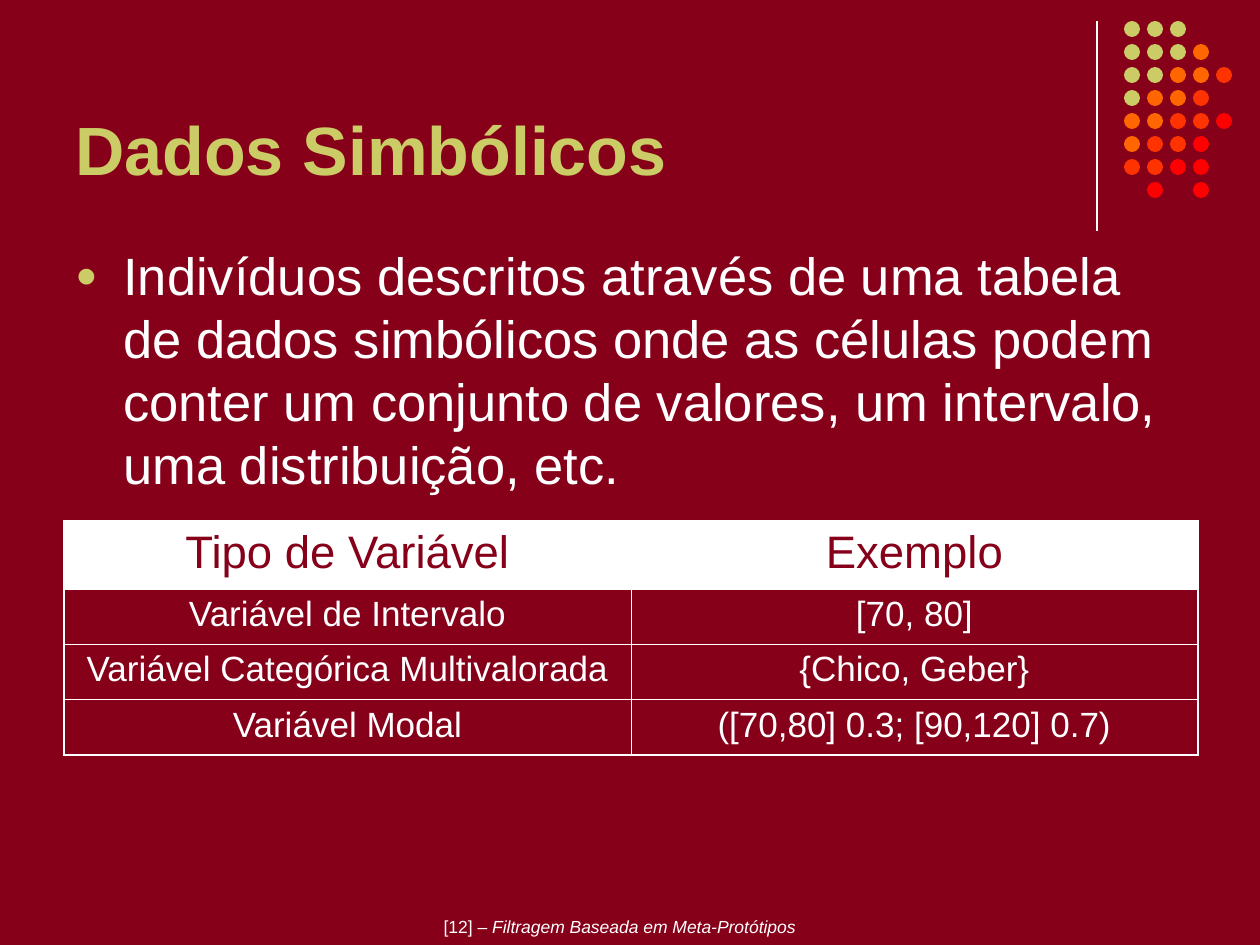
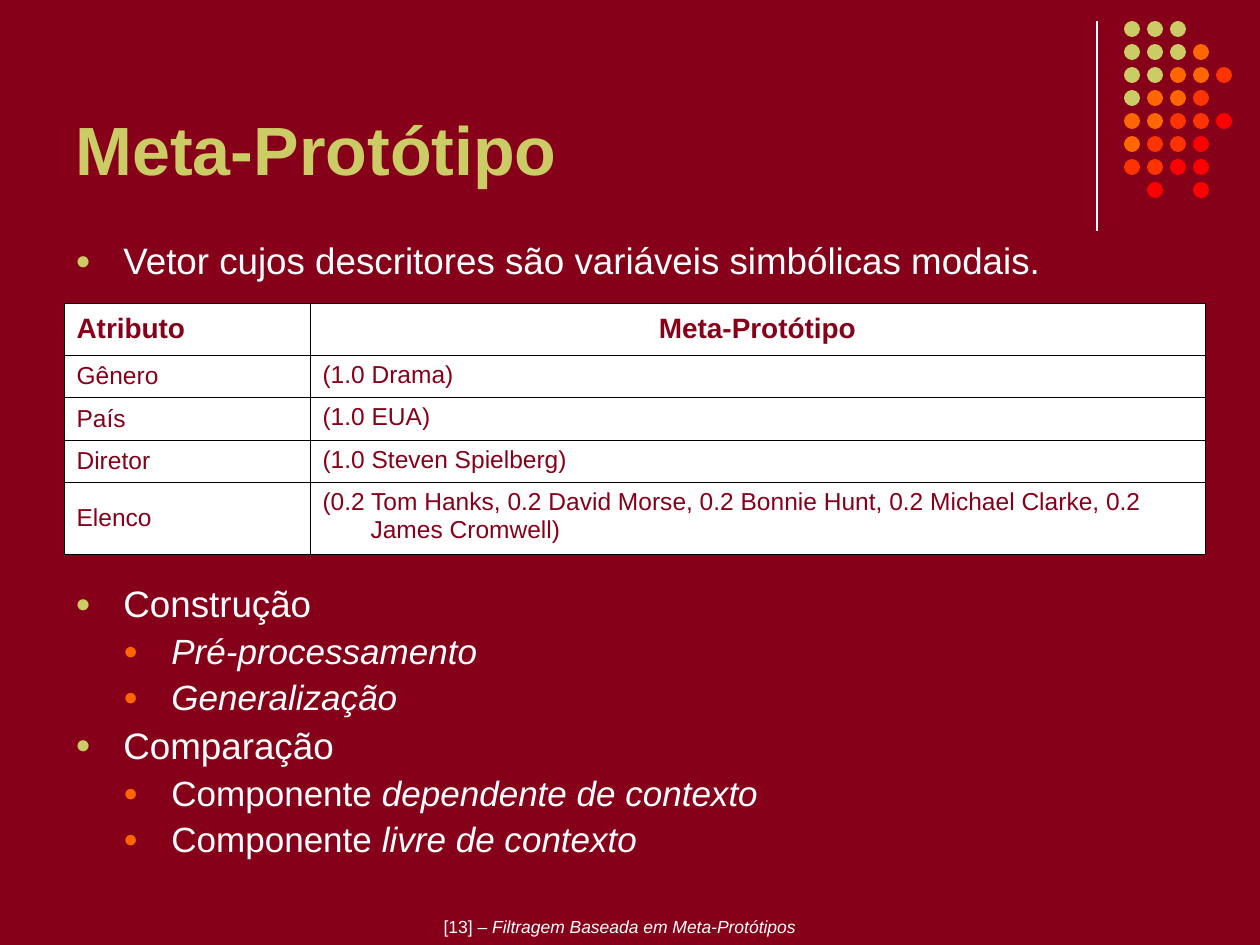
"""Build two slides on symbolic data and meta-prototypes."""
from lxml.etree import SubElement
from pptx import Presentation
from pptx.dml.color import RGBColor
from pptx.enum.shapes import MSO_CONNECTOR, MSO_SHAPE
from pptx.enum.text import MSO_ANCHOR, PP_ALIGN
from pptx.oxml.ns import qn
from pptx.util import Emu, Pt

SCALE = 914400 // 126
FONT = "Arial"
WINE = RGBColor(0x86, 0x00, 0x1A)
WHITE = RGBColor(0xFF, 0xFF, 0xFF)
BLACK = RGBColor(0x00, 0x00, 0x00)
OLIVE = RGBColor(0xCC, 0xCC, 0x66)
AMBER = RGBColor(0xFF, 0x66, 0x00)
CORAL = RGBColor(0xFF, 0x33, 0x00)
RED = RGBColor(0xFF, 0x00, 0x00)

DOTS = ["ooo", "oooa", "ooaac", "oaac", "aaccr", "accr", "ccrr", " r r"]
HUES = {"o": OLIVE, "a": AMBER, "c": CORAL, "r": RED}
TOPIC = "Filtragem Baseada em Meta-Protótipos"
THIN, THICK = 0.45, 1.08

INTRO = [(0, 30, 7.5, "Indivíduos descritos através de uma tabela de dados "
          "simbólicos onde as células podem conter um conjunto de valores, "
          "um intervalo, uma distribuição, etc.", "")]
OUTLINE = [
    (0, 21, 5.2, "Vetor cujos descritores são variáveis simbólicas modais.", ""),
    (0, 21, 173, "Construção", ""),
    (1, 20, 5, "", "Pré-processamento"),
    (1, 20, 5, "", "Generalização"),
    (0, 21, 5.2, "Comparação", ""),
    (1, 20, 5, "Componente ", "dependente de contexto"),
    (1, 20, 5, "Componente ", "livre de contexto"),
]
TYPES = [
    ("Tipo de Variável", "Exemplo"),
    ("Variável de Intervalo", "[70, 80]"),
    ("Variável Categórica Multivalorada", "{Chico, Geber}"),
    ("Variável Modal", "([70,80] 0.3; [90,120] 0.7)"),
]
FILM = [
    ("Atributo", "Meta-Protótipo"),
    ("Gênero", "(1.0 Drama)"),
    ("País", "(1.0 EUA)"),
    ("Diretor", "(1.0 Steven Spielberg)"),
    ("Elenco", "(0.2 Tom Hanks, 0.2 David Morse, 0.2 Bonnie Hunt, "
     "0.2 Michael Clarke, 0.2 James Cromwell)"),
]


def px(*sizes):
    return [Emu(size * SCALE) for size in sizes]


def style(run, size, color, bold=False, italic=False):
    font = run.font
    font.name, font.size, font.bold, font.italic = FONT, Pt(size), bold, italic
    font.color.rgb = color


def add_run(para, text, *look, **flags):
    run = para.add_run()
    run.text = text
    style(run, *look, **flags)


def add_box(slide, *place):
    frame = slide.shapes.add_textbox(*px(*place)).text_frame
    frame.word_wrap = True
    return frame


def hang(para, left):
    props = para._p.get_or_add_pPr()
    props.set("marL", str(left * SCALE))
    props.set("indent", str(-48 * SCALE))
    return props


def add_mark(para, level):
    props = hang(para, 48 * (level + 1))
    tint = SubElement(props, qn("a:buClr"))
    SubElement(tint, qn("a:srgbClr"), val=str((OLIVE, AMBER)[level]))
    SubElement(props, qn("a:buSzPct"), val="70000")
    SubElement(props, qn("a:buFont"), typeface=FONT)
    SubElement(props, qn("a:buChar"), char="●")


def add_body(slide, items, height, pitch):
    frame = add_box(slide, 63, 237, 1134, height)
    for index, (level, size, gap, plain, slant) in enumerate(items):
        para = frame.add_paragraph() if index else frame.paragraphs[0]
        para.level = level
        para.line_spacing, para.space_before = pitch, Pt(gap)
        add_mark(para, level)
        for text, italic in ((plain, False), (slant, True)):
            if text:
                add_run(para, text, size, WHITE, italic=italic)


def add_edges(cell, color, widths):
    props = cell._tc.get_or_add_tcPr()
    for index, (side, width) in enumerate(zip("LRTB", widths)):
        line = props.makeelement(qn("a:ln" + side), {"w": str(Pt(width))})
        fill = SubElement(line, qn("a:solidFill"))
        SubElement(fill, qn("a:srgbClr"), val=str(color))
        props.insert(index, line)


def add_grid(slide, rows, place, cols, heights, edge, rim, dress):
    shape = slide.shapes.add_table(
        len(rows), len(cols), *px(*place, sum(cols), sum(heights)))
    table = shape.table
    table.first_row = table.horz_banding = False
    for col, width in zip(table.columns, px(*cols)):
        col.width = width
    for row, height in zip(table.rows, px(*heights)):
        row.height = height
    for r, texts in enumerate(rows):
        for c, text in enumerate(texts):
            cell = table.cell(r, c)
            cell.text_frame.text = text
            dress(cell, r, c)
            ends = (c == 0, c == len(cols) - 1, r == 0, r == len(rows) - 1)
            add_edges(cell, edge, [rim if end else THIN for end in ends])


def dress_type(cell, r, c):
    para = cell.text_frame.paragraphs[0]
    para.alignment = PP_ALIGN.CENTER
    para.space_before = Pt(5 if r else 6.5)
    style(para.runs[0], 20 if r else 26, WHITE if r else WINE)
    if r:
        cell.fill.background()
    else:
        cell.fill.solid()
        cell.fill.fore_color.rgb = WHITE


def dress_film(cell, r, c):
    para = cell.text_frame.paragraphs[0]
    style(para.runs[0], 14 if r else 16, WINE, bold=not r)
    cell.fill.solid()
    cell.fill.fore_color.rgb = WHITE
    if r:
        hang(para, 48)
    elif c:
        para.alignment = PP_ALIGN.CENTER
    cell.vertical_anchor = MSO_ANCHOR.TOP if r and c else MSO_ANCHOR.MIDDLE


def add_decor(slide):
    rule = slide.shapes.add_connector(
        MSO_CONNECTOR.STRAIGHT, *px(1097, 21, 1097, 231))
    rule.line.color.rgb, rule.line.width = WHITE, Pt(0.74)
    SubElement(rule._element.spPr, qn("a:effectLst"))
    group = slide.shapes.add_group_shape()
    for r, row in enumerate(DOTS):
        for c, key in enumerate(row):
            if key in HUES:
                dot = group.shapes.add_shape(
                    MSO_SHAPE.OVAL, *px(1124 + 23 * c, 21 + 23 * r, 16, 16))
                dot.shadow.inherit = False
                dot.fill.solid()
                dot.fill.fore_color.rgb = HUES[key]
                dot.line.fill.background()


def add_page(deck, title, number):
    slide = deck.slides.add_slide(deck.slide_layouts[6])
    slide.background.fill.solid()
    slide.background.fill.fore_color.rgb = WINE
    add_decor(slide)
    head = add_box(slide, 63, 16, 1040, 179)
    head.vertical_anchor = MSO_ANCHOR.BOTTOM
    add_run(head.paragraphs[0], title, 39, OLIVE, bold=True)
    foot = add_box(slide, 420, 910, 399, 20).paragraphs[0]
    foot.alignment = PP_ALIGN.CENTER
    add_run(foot, f"[{number}] – ", 10, WHITE)
    add_run(foot, TOPIC, 10, WHITE, italic=True)
    return slide


def main():
    deck = Presentation()
    deck.slide_width, deck.slide_height = px(1260, 945)
    page = add_page(deck, "Dados Simbólicos", 12)
    add_body(page, INTRO, 305, 1)
    add_grid(page, TYPES, (64, 521), (567, 567), (68, 55, 56, 55),
             WHITE, THICK, dress_type)
    page = add_page(deck, "Meta-Protótipo", 13)
    add_body(page, OUTLINE, 633, 0.9)
    add_grid(page, FILM, (64, 303), (246, 895), (52, 42, 43, 42, 72),
             BLACK, THIN, dress_film)
    deck.save("out.pptx")


main()
